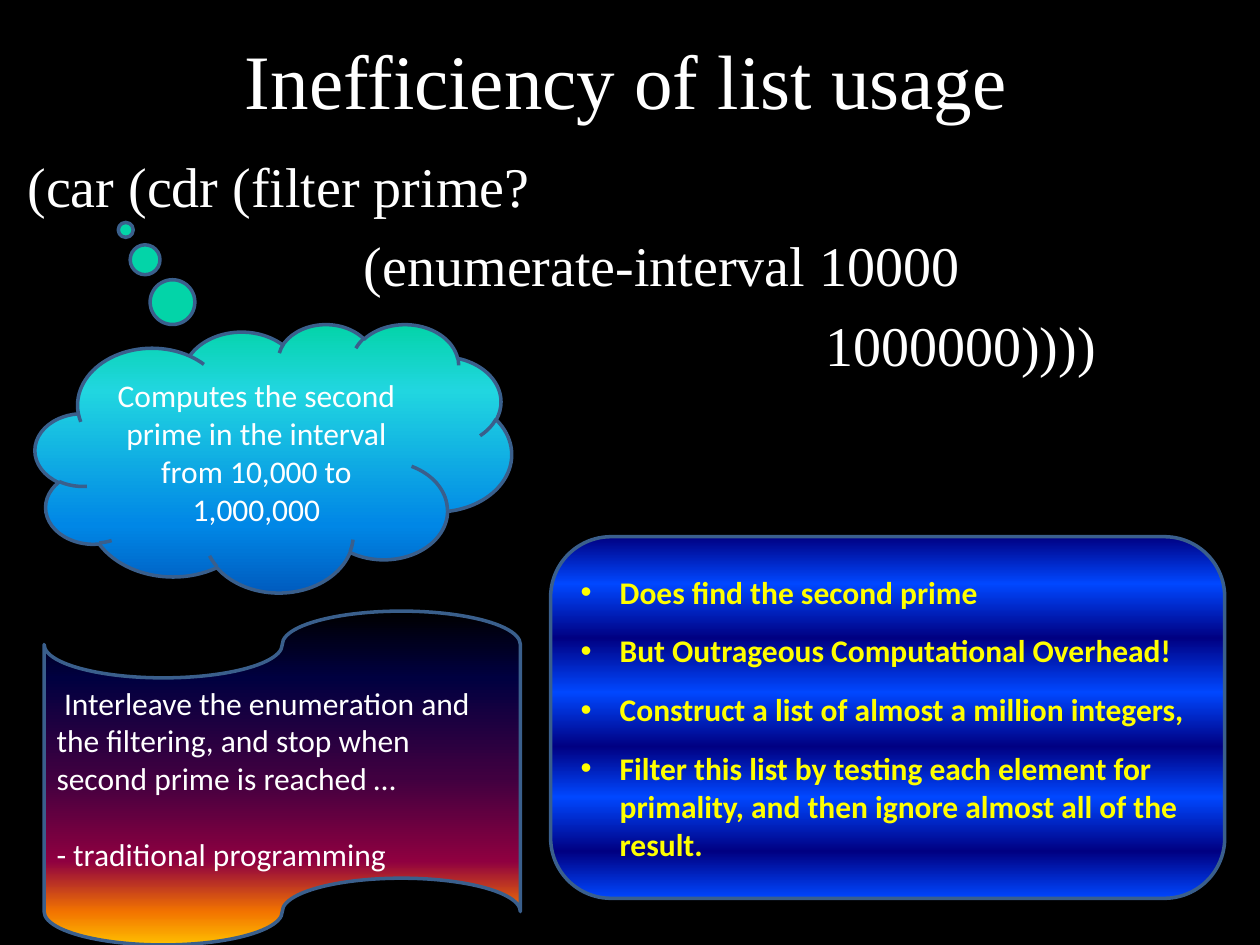
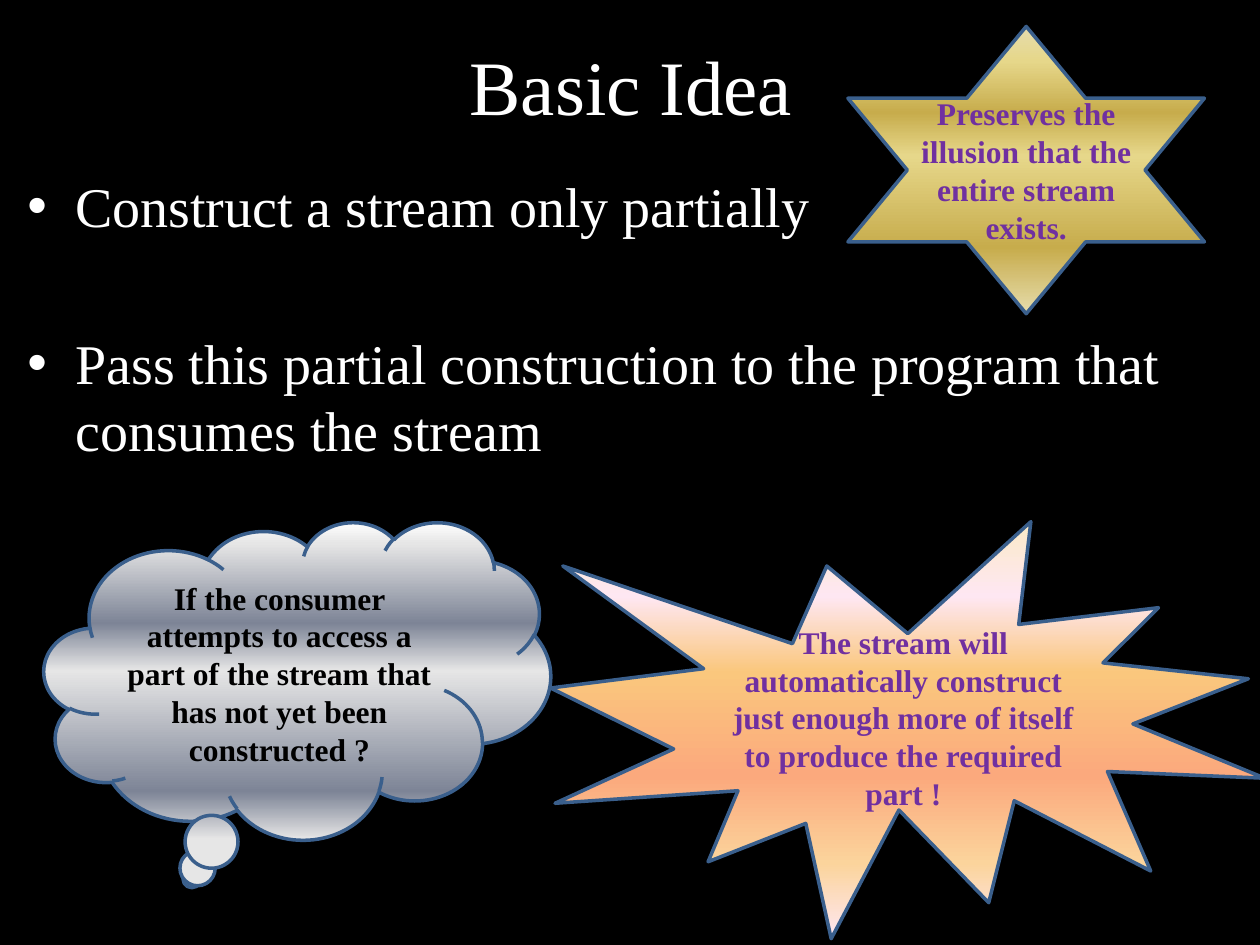
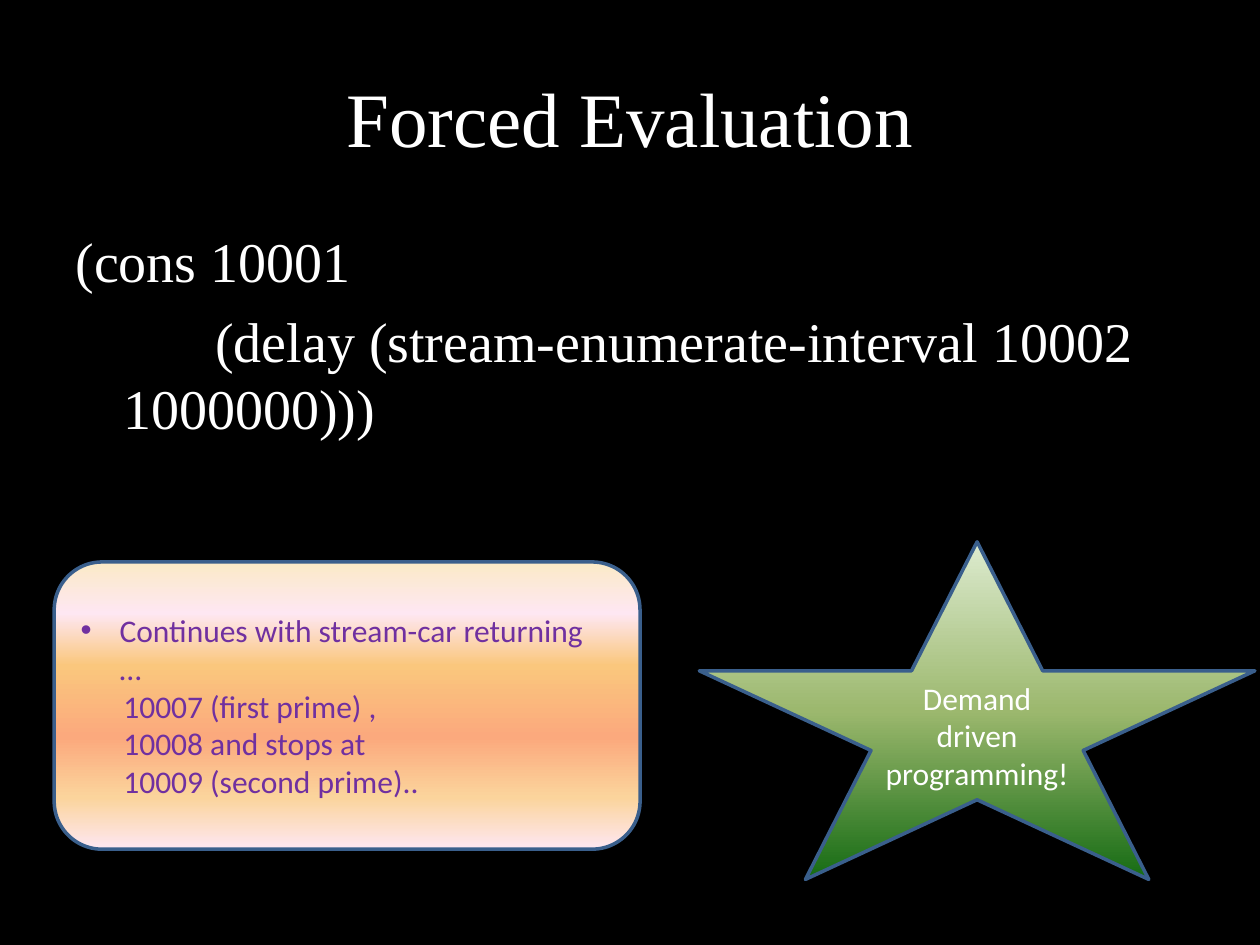
"""Builds three slides on lists, streams and forced evaluation."""
from lxml.etree import SubElement as Sub
from pptx import Presentation
from pptx.dml.color import RGBColor as RGB
from pptx.enum.shapes import MSO_SHAPE as Shape
from pptx.enum.text import MSO_ANCHOR as Anchor, PP_ALIGN as Align
from pptx.oxml.ns import qn
from pptx.util import Inches, Pt

HUES = {
    "back": "000000", "text": "FFFFFF", "line": "3A5F8C",
    "gold": "FFFF00", "plum": "7030A0", "dark": "000000",
}
FADES = {
    "sea": [(0, "03D4A8"), (25, "21D6E0"), (75, "0087E6"), (100, "005CBF")],
    "blue": [(at, ("000082", "0047FF")[i % 2])
             for i, at in enumerate((0, 13, 28, 43, 58, 72, 87, 100))],
    "fire": [(0, "000000"), (20, "000040"), (50, "400040"),
             (75, "8F0040"), (90, "F27300"), (100, "FFBF00")],
    "steel": [(0, "FFFFFF"), (7, "E6E6E6"), (32, "7D8496"),
              (47, "E6E6E6"), (85, "7D8496"), (100, "E6E6E6")],
    "peach": [(0, "FBEAC7"), (18, "FEE7F2"), (36, "FAC77D"),
              (61, "FBA97D"), (82, "FBD49C"), (100, "FEE7F2")],
    "brass": [(0, "E6DCAC"), (12, "E6D78A"), (30, "C7AC4C"),
              (45, "E6D78A"), (77, "C7AC4C"), (100, "E6DCAC")],
    "leaf": [(0, "DDEBCF"), (50, "9CB86E"), (100, "156B13")],
}
SERIF, SANS = "Times New Roman", "Calibri"


def write(frame, rows, font, size, hue, bold=False, align=Align.LEFT):
    """Fill a frame from rows of text, left, first, bullet, before, after."""
    frame.word_wrap = True
    for i, row in enumerate(rows):
        text, left, first, dot, before, after = row
        para = frame.paragraphs[0] if i == 0 else frame.add_paragraph()
        para.alignment = align
        para.space_before, para.space_after = Pt(before), Pt(after)
        props = para._p.get_or_add_pPr()
        props.set("marL", str(Inches(left)))
        props.set("indent", str(Inches(first)))
        if dot:
            Sub(props, qn("a:buFont")).set("typeface", "Arial")
            Sub(props, qn("a:buChar")).set("char", "•")
        else:
            Sub(props, qn("a:buNone"))
        for j, part in enumerate(text.split("\n")):
            if j:
                para.add_line_break()
            run = para.add_run()
            run.text = part
            run.font.name, run.font.size, run.font.bold = font, Pt(size), bold
            run.font.color.rgb = RGB.from_string(HUES[hue])


def draw(slide, kind, area, fade, rows, font, hue, bold=False, align=Align.LEFT):
    """Add a shape with a downward gradient and its text."""
    item = slide.shapes.add_shape(kind, *map(Inches, area))
    item.shadow.inherit = False
    item.fill.gradient()
    item.fill.gradient_angle = 270
    stops = item._element.spPr.find(qn("a:gradFill")).find(qn("a:gsLst"))
    for old in list(stops):
        stops.remove(old)
    for at, tone in FADES[fade]:
        stop = Sub(stops, qn("a:gs"), pos=str(at * 1000))
        Sub(stop, qn("a:srgbClr"), val=tone)
    item.line.color.rgb = RGB.from_string(HUES["line"])
    item.line.width = Pt(2)
    item.text_frame.vertical_anchor = Anchor.MIDDLE
    write(item.text_frame, rows, font, 18, hue, bold, align)
    return item


deck = Presentation()
deck.slide_width, deck.slide_height = Inches(10), Inches(7.5)
ground = deck.slide_master.background.fill
ground.solid()
ground.fore_color.rgb = RGB.from_string(HUES["back"])

pages = [
    ("Inefficiency of list usage", (0.47, 0), (0.12, 1.15, 9.84, 6.22), [
        ("(car (cdr (filter prime?", 0, 0, False, 7, 0),
        ("(enumerate-interval 10000", 0, 2.67, False, 7, 0),
        ("1000000))))", 0, 6.33, False, 7, 0)]),
    ("Basic Idea", (0.51, 0.05), (0.12, 1.31, 9.76, 5.98), [
        ("Construct a stream only partially", 0.38, -0.38, True, 7, 0),
        ("Pass this partial construction to the program that consumes the stream",
         0.38, -0.38, True, 51.5, 0)]),
    ("Forced Evaluation", (0.5, 0.3), (0.5, 1.75, 9, 4.95), [
        ("(cons 10001", 0, 0, False, 7, 0),
        ("(delay (stream-enumerate-interval 10002 1000000)))",
         0.38, 0.73, False, 7, 0)]),
]
slides = []
for name, spot, area, rows in pages:
    slide = deck.slides.add_slide(deck.slide_layouts[5])
    title = slide.shapes.title
    title.left, title.top = map(Inches, spot)
    title.width, title.height = Inches(9), Inches(1.25)
    title.text_frame.vertical_anchor = Anchor.MIDDLE
    write(title.text_frame, [(name, 0, 0, False, 0, 0)],
          SERIF, 44, "text", align=Align.CENTER)
    body = slide.shapes.add_textbox(*map(Inches, area))
    write(body.text_frame, rows, SERIF, 32, "text")
    slides.append(slide)
lists, idea, force = slides

notes = [
    (lists, Shape.CLOUD_CALLOUT, (0.28, 2.57, 3.78, 2.13), "sea", SANS, "text", False,
     "Computes the second prime in the interval from 10,000 to 1,000,000"),
    (idea, Shape.CLOUD_CALLOUT, (0.35, 4.14, 4.02, 2.52), "steel", SERIF, "dark", True,
     "If the consumer attempts to access a part of the stream that has not yet been "
     "constructed ?"),
    (idea, Shape.EXPLOSION1, (4.37, 4.14, 5.67, 3.31), "peach", SERIF, "plum", True,
     "The stream will automatically construct just enough more of itself to produce "
     "the required part !"),
    (idea, Shape.STAR_6_POINT, (6.73, 0.21, 2.83, 2.28), "brass", SERIF, "plum", True,
     "Preserves the illusion that the entire stream exists."),
    (force, Shape.STAR_5_POINT, (5.55, 4.3, 4.41, 2.68), "leaf", SANS, "text", False,
     "Demand driven programming!"),
]
for slide, kind, area, fade, font, hue, bold, text in notes:
    item = draw(slide, kind, area, fade, [(text, 0, 0, False, 0, 0)],
                font, hue, bold, Align.CENTER)
    if slide is lists:
        item.adjustments[0], item.adjustments[1] = -0.31, -0.85

costs = [
    "Does find the second prime",
    "But Outrageous Computational Overhead!",
    "Construct a list of almost a million integers,",
    "Filter this list by testing each element for primality, "
    "and then ignore almost all of the result.",
]
draw(lists, Shape.FLOWCHART_ALTERNATE_PROCESS, (4.37, 4.26, 5.35, 2.87), "blue",
     [(cost, 0.31, -0.31, True, 6, 6) for cost in costs], SANS, "gold", True)
draw(lists, Shape.FLOWCHART_PUNCHED_TAPE, (0.35, 4.85, 3.78, 2.65), "fire", [
    ("Interleave the enumeration and the filtering, and stop when second prime "
     "is reached …", 0, 0.06, False, 0, 0),
    ("- traditional programming", 0, 0, False, 21.5, 0)], SANS, "text")

steps = ["10007 (first prime) ,", "10008 and stops at", "10009 (second prime).."]
draw(force, Shape.FLOWCHART_ALTERNATE_PROCESS, (0.43, 4.46, 4.65, 2.28), "peach",
     [("Continues with stream-car returning\n…", 0.31, -0.31, True, 0, 0)]
     + [(step, 0.34, 0, False, 0, 0) for step in steps], SANS, "plum")

deck.save("out.pptx")
